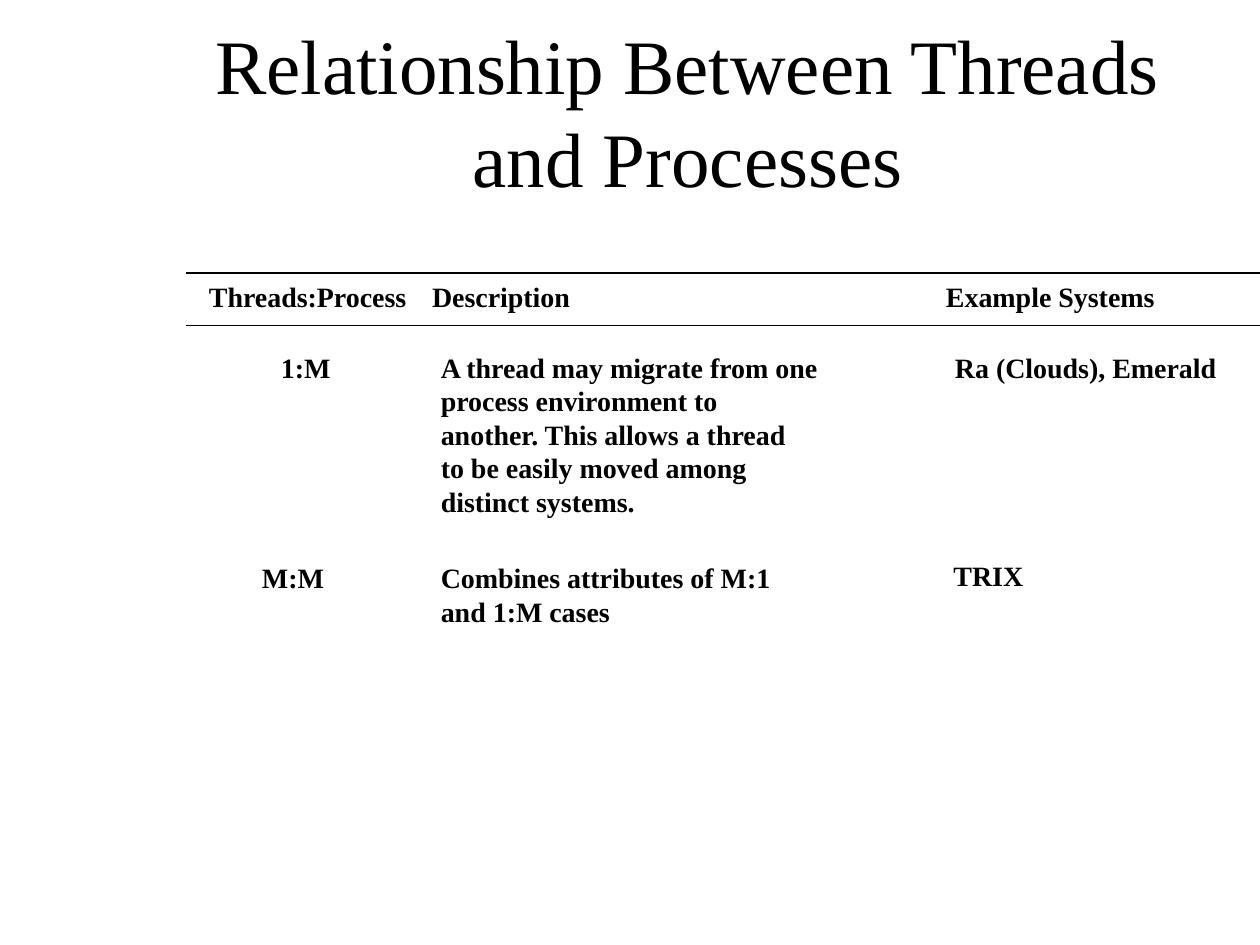
from pptx import Presentation
from pptx.dml.color import RGBColor
from pptx.enum import shapes, text
from pptx.oxml.ns import qn
from pptx.util import Pt
from lxml import etree

COLORS = {"ink": "000000", "paper": "FFFFFF"}
FONT = "Times New Roman"

TITLE = "Relationship Between Threads and Processes"

# Each cell: left, top, width, lines of text
HEADINGS = [
    (112.3, 156.2, 128.2, ["Threads:Process"]),
    (239.8, 156.2, 93.6, ["Description"]),
    (533.5, 156.2, 133.9, ["Example Systems"]),
]
ONE_TO_MANY = [
    (153.4, 196.6, 43.2, ["1:M"]),
    (244.8, 196.6, 231.1, [
        "A thread may migrate from one",
        "process environment to",
        "another. This allows a thread",
        "to be easily moved among",
        "distinct systems.",
    ]),
    (538.6, 196.6, 164.2, ["Ra (Clouds), Emerald"]),
]
MANY_TO_MANY = [
    (142.6, 316.8, 49.7, ["M:M"]),
    (244.8, 316.8, 203, ["Combines attributes of M:1", "and 1:M cases"]),
    (537.8, 315.4, 54.7, ["TRIX"]),
]
RULE_LEFT, RULE_RIGHT = 106.5, 720
RULE_TOPS = (156, 186)
LINE_HEIGHT, PADDING = 19.2, 7.2


def color(name):
    return RGBColor.from_string(COLORS[name])


def add_text(paragraph, words, size, bold):
    run = paragraph.add_run()
    run.text = words
    run.font.name = FONT
    run.font.size = Pt(size)
    run.font.bold = bold
    run.font.color.rgb = color("ink")


def add_rule(slide, top):
    rule = slide.shapes.add_connector(
        shapes.MSO_CONNECTOR.STRAIGHT,
        Pt(RULE_LEFT), Pt(top), Pt(RULE_RIGHT), Pt(top))
    rule.line.color.rgb = color("ink")
    rule.line.width = Pt(1)
    etree.SubElement(rule._element.spPr, qn("a:effectLst"))


def add_cell(slide, left, top, width, lines):
    height = LINE_HEIGHT * len(lines) + PADDING
    cell = slide.shapes.add_textbox(Pt(left), Pt(top), Pt(width), Pt(height))
    frame = cell.text_frame
    frame.word_wrap = False
    frame.auto_size = text.MSO_AUTO_SIZE.SHAPE_TO_FIT_TEXT
    for number, line in enumerate(lines):
        paragraph = frame.add_paragraph() if number else frame.paragraphs[0]
        add_text(paragraph, line, 16, True)


def main():
    deck = Presentation()
    deck.slide_width, deck.slide_height = Pt(720), Pt(540)
    slide = deck.slides.add_slide(deck.slide_layouts[5])
    slide.background.fill.solid()
    slide.background.fill.fore_color.rgb = color("paper")

    # Title
    title = slide.shapes.title
    title.left, title.top = Pt(114), Pt(18)
    title.width, title.height = Pt(558), Pt(90)
    frame = title.text_frame
    frame.word_wrap = True
    frame.auto_size = text.MSO_AUTO_SIZE.NONE
    frame.vertical_anchor = text.MSO_ANCHOR.MIDDLE
    frame.paragraphs[0].alignment = text.PP_ALIGN.CENTER
    add_text(frame.paragraphs[0], TITLE, 44, False)

    # Rules above and below the headings
    for top in RULE_TOPS:
        add_rule(slide, top)

    # Headings and the two relationships
    for cell in HEADINGS + ONE_TO_MANY + MANY_TO_MANY:
        add_cell(slide, *cell)

    deck.save("out.pptx")


if __name__ == "__main__":
    main()
